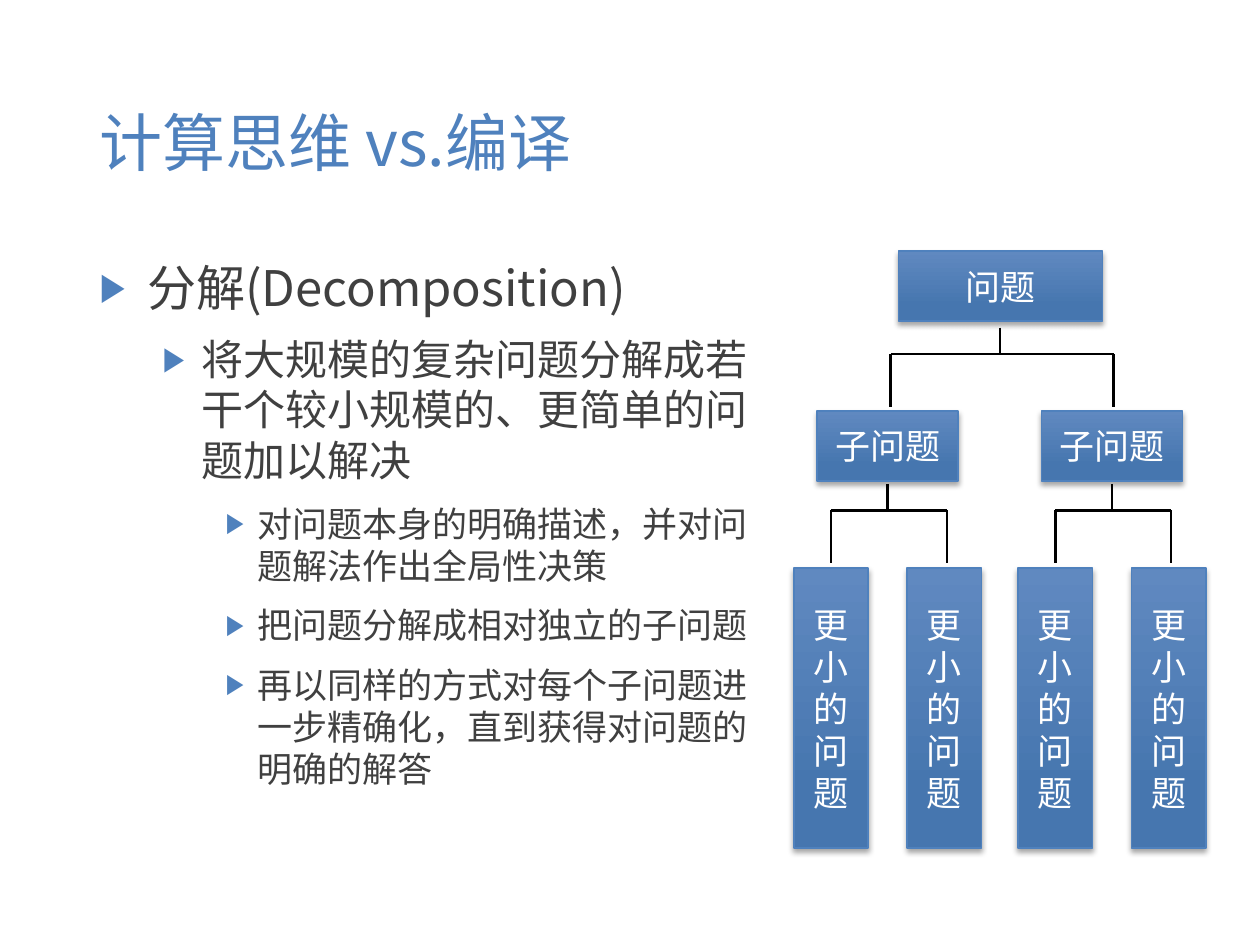
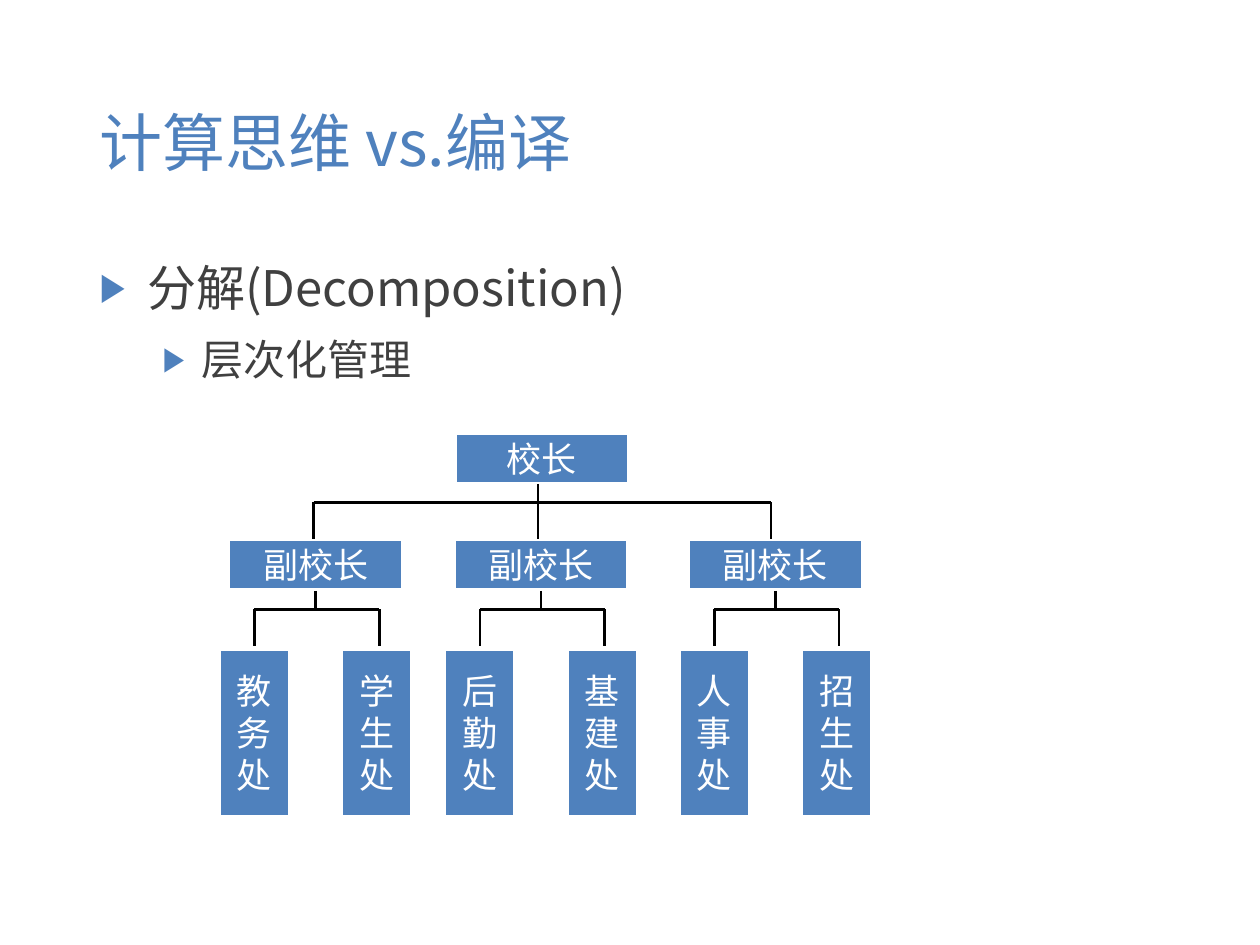
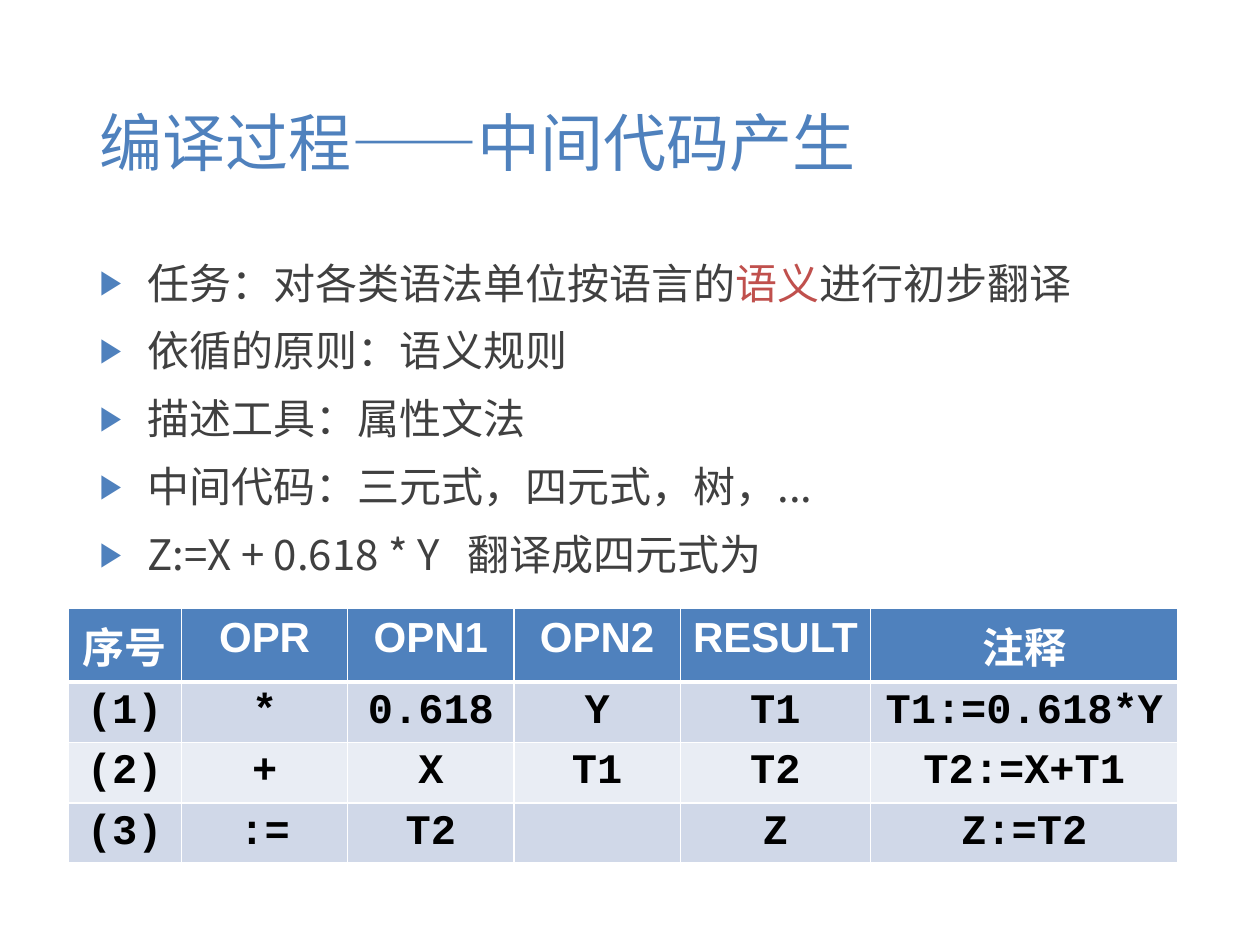
from lxml import etree
from pptx import Presentation
from pptx.dml.color import RGBColor
from pptx.enum import shapes, text
from pptx.oxml import ns
from pptx import util as u

FONT = "Noto Sans CJK SC"
BLUE, DARK, RED, WHITE, BLACK = "4F81BD", "404040", "C0504D", "FFFFFF", "000000"
BANDS = ("D0D8E8", "E9EDF4")
SIZE = (u.Inches(10), u.Inches(7.5))
CELL = SIZE[0] / 100
INDENTS = ((3.8, 3.8), (8.1, 3.1), (12.5, 2.5))
STEM, RAIL = 0.49, 1 / 3


def rgb(value):
    """Turn a hex string into a colour."""
    return RGBColor.from_string(value)


def grid(*cells):
    """Convert grid cells, a hundred to the slide width, to lengths."""
    return [u.Emu(round(c * CELL)) for c in cells]


def assign(obj, values):
    """Set attributes of an object from a dict."""
    for name, value in values.items():
        setattr(obj, name, value)


def child(parent, tag, **attrs):
    """Append a DrawingML element."""
    return etree.SubElement(parent, ns.qn("a:" + tag), {k: str(v) for k, v in attrs.items()})


def add_run(p, words, size, color, font=FONT, bold=False):
    """Add a formatted run with its East Asian font."""
    r = p.add_run()
    r.text = words
    assign(r.font, {"size": u.Pt(size), "name": font, "bold": bold})
    r.font.color.rgb = rgb(color)
    child(r._r.get_or_add_rPr(), "ea", typeface=FONT)


def place(sp, box):
    """Move a shape to a grid box."""
    assign(sp, dict(zip(("left", "top", "width", "height"), grid(*box))))


def add_title(slide, words):
    """Fill the title placeholder."""
    sp = slide.shapes.title
    place(sp, (6.9, 4, 86.3, 14.5))
    tf = sp.text_frame
    assign(tf, {"vertical_anchor": text.MSO_ANCHOR.MIDDLE, "auto_size": text.MSO_AUTO_SIZE.NONE})
    tf.paragraphs[0].alignment = text.PP_ALIGN.LEFT
    add_run(tf.paragraphs[0], words, 36, BLUE)


def add_list(slide, items, width=86.3):
    """Fill the body placeholder with (level, size, runs) items, every second run red."""
    sp = slide.placeholders[1]
    place(sp, (6.9, 19.9, width, 47.6))
    tf = sp.text_frame
    tf.auto_size = text.MSO_AUTO_SIZE.NONE
    for i, (level, size, *runs) in enumerate(items):
        p = tf.add_paragraph() if i else tf.paragraphs[0]
        assign(p, {"level": level, "space_before": u.Pt(10)})
        left, hang = grid(*INDENTS[level])
        pPr = p._p.get_or_add_pPr()
        pPr.set("marL", str(left))
        pPr.set("indent", str(-hang))
        child(child(pPr, "buClr"), "srgbClr", val=BLUE)
        child(pPr, "buSzPct", val=80000)
        child(pPr, "buChar", char="▶")
        for j, words in enumerate(runs):
            add_run(p, words, size, RED if j % 2 else DARK)


def raised(sp):
    """Give a box a gradient, a blue edge and a soft shadow."""
    sp.fill.gradient()
    sp.fill.gradient_angle = 270
    for stop, position, color in zip(sp.fill.gradient_stops, (0, 0.78), ("6089C0", "4676AF")):
        stop.position = position
        stop.color.rgb = rgb(color)
    sp.line.color.rgb = rgb(BLUE)
    sp.line.width = u.Pt(1)
    effects = sp._element.spPr.find(ns.qn("a:effectLst"))
    shadow = child(effects, "outerShdw", blurRad=u.Pt(3), dist=u.Pt(2), dir=5400000, rotWithShape=0)
    child(child(shadow, "srgbClr", val=BLACK), "alpha", val=35000)


def flat(sp):
    """Give a box a plain fill and a white edge."""
    sp.fill.solid()
    sp.fill.fore_color.rgb = rgb(BLUE)
    sp.line.color.rgb = rgb(WHITE)
    sp.line.width = u.Pt(2)


def add_node(slide, box, words, style, wrap=False):
    """Draw one box of a tree; wrapping boxes are narrow columns."""
    sp = slide.shapes.add_shape(shapes.MSO_SHAPE.RECTANGLE, *grid(*box))
    sp.shadow.inherit = False
    style(sp)
    tf = sp.text_frame
    assign(tf, {"word_wrap": wrap, "vertical_anchor": text.MSO_ANCHOR.MIDDLE})
    if wrap:
        assign(tf, dict.fromkeys(("margin_left", "margin_right"), u.Inches(0.13)))
    p = tf.paragraphs[0]
    p.alignment = text.PP_ALIGN.CENTER
    add_run(p, words, 20, WHITE)


def add_fork(slide, box, through=False):
    """Draw a stem, a rail and two drops that fill the box."""
    x, y, w, h = box
    stem, rail, right, bottom = x + w * STEM, y + h * RAIL, x + w, y + h
    for ends in ((stem, y, stem, bottom if through else rail), (x, rail, right, rail),
                 (x, rail, x, bottom), (right, rail, right, bottom)):
        line = slide.shapes.add_connector(shapes.MSO_CONNECTOR.STRAIGHT, *grid(*ends))
        line.line.color.rgb = rgb(BLACK)
        line.line.width = u.Pt(1.5)
        child(line._element.spPr, "effectLst")


def add_branch(slide, box, head, leaves, style, head_size, leaf_size, pad):
    """Draw a head box with a fork down to two columns at the box's edges."""
    x, y, w, h = box
    head_w, head_h = head_size
    leaf_w, leaf_h = leaf_size
    leaf_y = y + h - leaf_h
    fork_y = y + head_h + pad
    add_node(slide, (x + (w - head_w) / 2, y, head_w, head_h), head, style)
    add_fork(slide, (x + leaf_w / 2, fork_y, w - leaf_w + 0.2, leaf_y - 2 * pad - fork_y))
    for leaf_x, words in zip((x, x + w - leaf_w), leaves):
        add_node(slide, (leaf_x, leaf_y, leaf_w, leaf_h), words, style, wrap=True)


def add_border(tcPr, side, width):
    """Draw a white edge on one side of a cell."""
    ln = child(tcPr, side, w=u.Pt(width))
    child(child(ln, "solidFill"), "srgbClr", val=WHITE)


def add_quads(slide, box, widths, rows):
    """Draw the banded table of quadruples."""
    table = slide.shapes.add_table(len(rows), len(widths), *grid(*box)).table
    for column, width in zip(table.columns, grid(*widths)):
        column.width = width
    for i, row in enumerate(rows):
        for j, words in enumerate(row):
            cell = table.cell(i, j)
            tcPr = cell._tc.get_or_add_tcPr()
            for side in ("lnL", "lnR", "lnT", "lnB"):
                heavy = (i, side) in ((0, "lnB"), (1, "lnT"))
                add_border(tcPr, side, 3 if heavy else 1)
            cell.fill.solid()
            cell.fill.fore_color.rgb = rgb(BANDS[(i - 1) % 2] if i else BLUE)
            p = cell.text_frame.paragraphs[0]
            p.alignment = text.PP_ALIGN.CENTER
            if words:
                font, color = ("Courier New", BLACK) if i else ("Arial", WHITE)
                add_run(p, words, 24, color, font, True)


def new_slide(prs, title):
    """Add a slide with a title and a body."""
    slide = prs.slides.add_slide(prs.slide_layouts[1])
    add_title(slide, title)
    return slide


def decomposition_slide(prs):
    """Explain decomposition beside a problem tree."""
    slide = new_slide(prs, "计算思维 vs.编译")
    add_list(slide, [
        (0, 28, "分解(Decomposition)"),
        (1, 24, "将大规模的复杂问题分解成若干个较小规模的、更简单的问题加以解决"),
        (2, 20, "对问题本身的明确描述，并对问题解法作出全局性决策"),
        (2, 20, "把问题分解成相对独立的子问题"),
        (2, 20, "再以同样的方式对每个子问题进一步精确化，直到获得对问题的明确的解答"),
    ], 54.2)
    add_node(slide, (71.3, 19.9, 16.2, 5.6), "问题", raised)
    for x in (63, 80.8):
        add_branch(slide, (x, 32.6, 14.9, 34.7), "子问题", ["更小的问题"] * 2, raised,
                   (11.2, 5.6), (5.9, 22.2), 0.2)
    add_fork(slide, (70.7, 26, 17.7, 6.3))


def management_slide(prs):
    """Show layered management as a tree."""
    slide = new_slide(prs, "计算思维 vs.编译")
    add_list(slide, [(0, 28, "分解(Decomposition)"), (1, 24, "层次化管理")])
    add_node(slide, (36.1, 34.4, 13.8, 4), "校长", flat)
    offices = (("教务处", "学生处"), ("后勤处", "基建处"), ("人事处", "招生处"))
    for x, pair in zip((17.4, 35.3, 53.9), offices):
        add_branch(slide, (x, 42.8, 15.3, 22), "副校长", pair, flat, (13.8, 4), (5.6, 13.3), 0.1)
    add_fork(slide, (24.9, 38.4, 36.3, 4.4), through=True)


def code_slide(prs):
    """Describe intermediate code with a table of quadruples."""
    slide = new_slide(prs, "编译过程——中间代码产生")
    add_list(slide, [
        (0, 24, "任务：对各类语法单位按语言的", "语义", "进行初步翻译"),
        (0, 24, "依循的原则：语义规则"),
        (0, 24, "描述工具：属性文法"),
        (0, 24, "中间代码：三元式，四元式，树，..."),
        (0, 24, "Z:=X + 0.618 * Y   翻译成四元式为"),
    ])
    add_quads(slide, (5.4, 48.3, 88.3, 16.4), (9, 13.2, 13.2, 13.2, 15.1, 24.4), [
        ("序号", "OPR", "OPN1", "OPN2", "RESULT", "注释"),
        ("(1)", "*", "0.618", "Y", "T1", "T1:=0.618*Y"),
        ("(2)", "+", "X", "T1", "T2", "T2:=X+T1"),
        ("(3)", ":=", "T2", "", "Z", "Z:=T2"),
    ])


def main():
    """Build and save the slides."""
    prs = Presentation()
    prs.slide_width, prs.slide_height = SIZE
    for build in (decomposition_slide, management_slide, code_slide):
        build(prs)
    prs.save("out.pptx")


if __name__ == "__main__":
    main()
